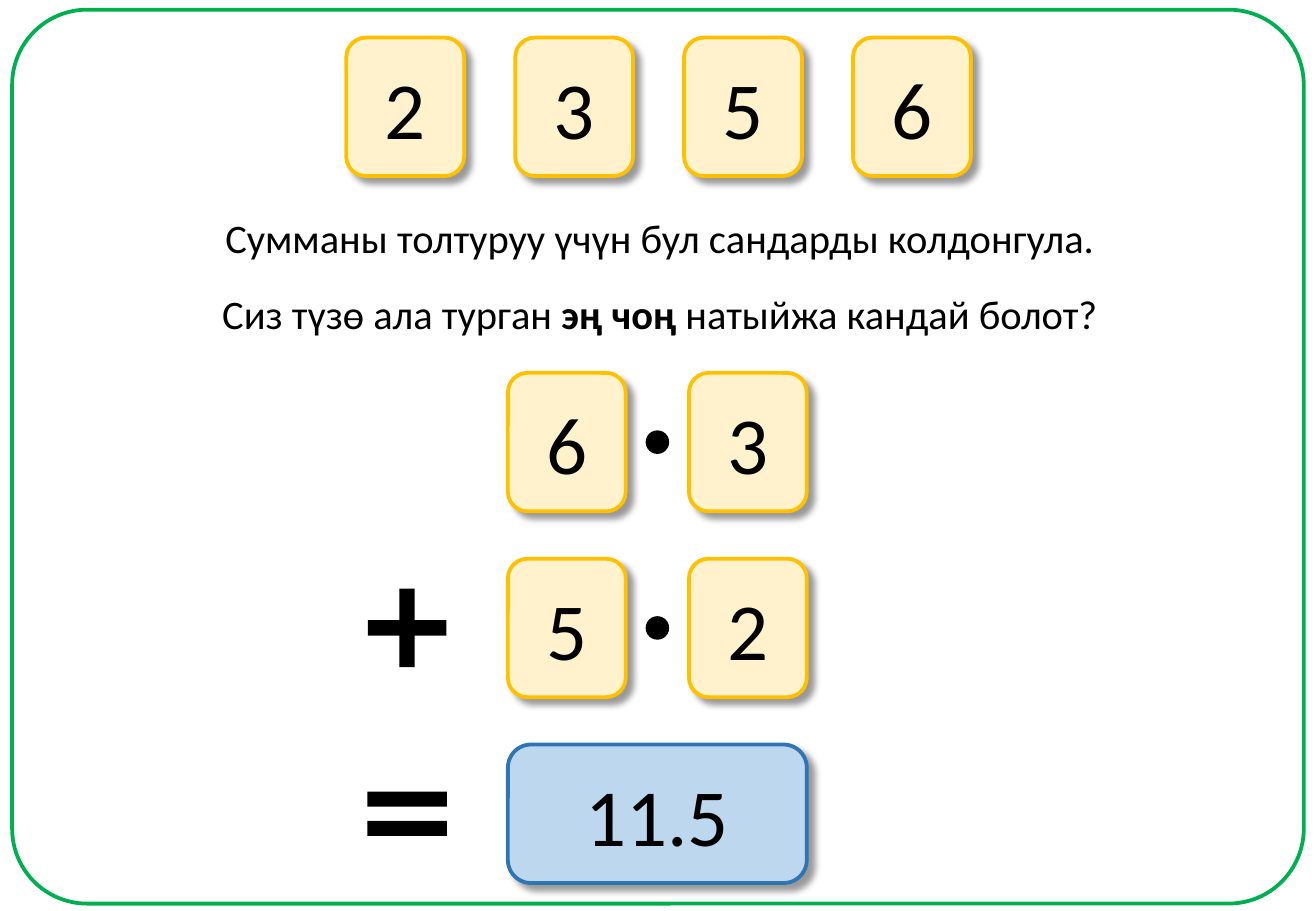
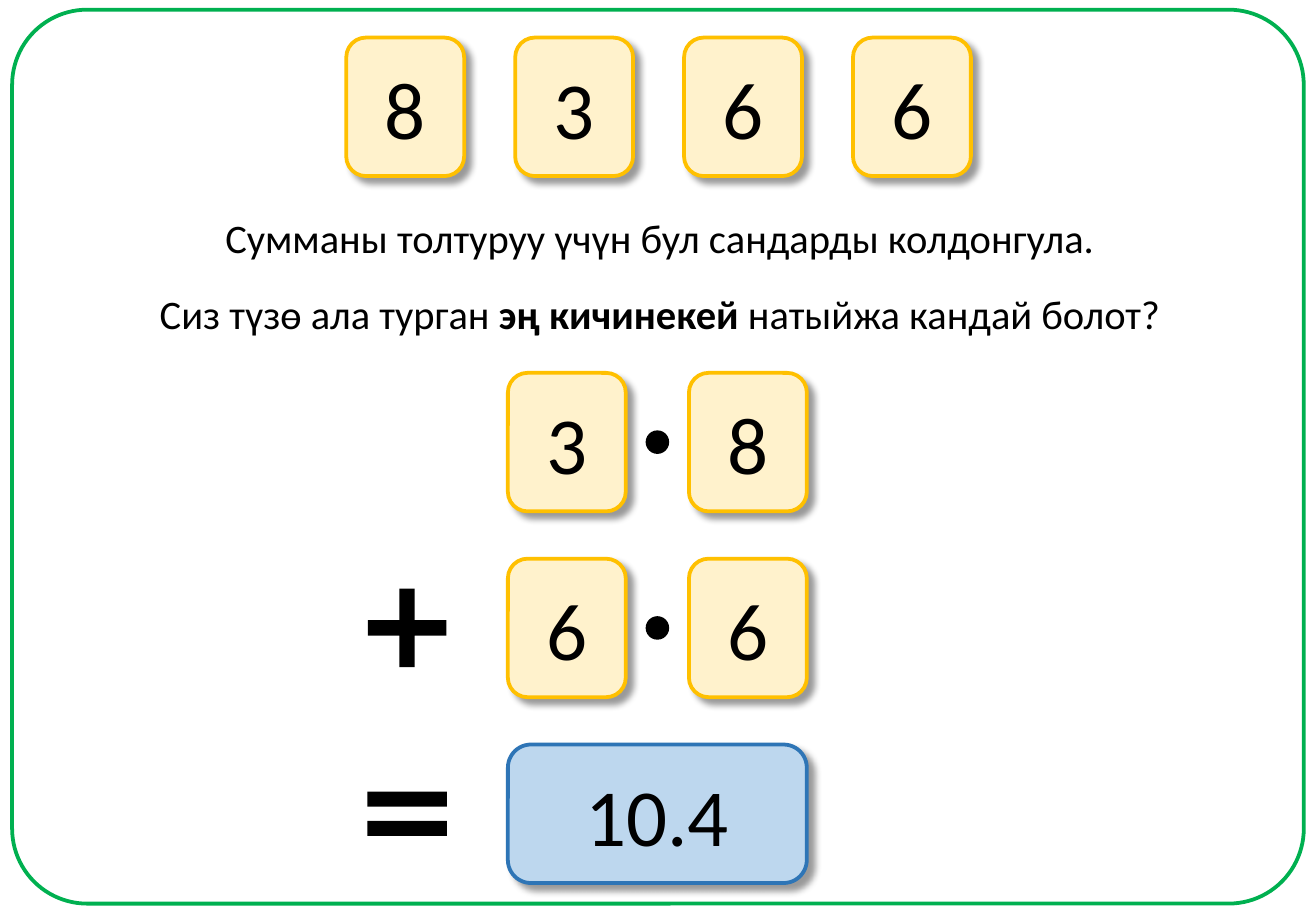
"""Build two number-card puzzle slides that share one layout."""
from lxml import etree
from pptx import Presentation
from pptx.dml.color import RGBColor
from pptx.enum.shapes import MSO_SHAPE
from pptx.enum.text import MSO_ANCHOR, MSO_AUTO_SIZE, PP_ALIGN
from pptx.oxml.ns import qn
from pptx.util import Inches, Pt

ROUNDED, OVAL = MSO_SHAPE.ROUNDED_RECTANGLE, MSO_SHAPE.OVAL
PLUS, EQUAL = MSO_SHAPE.MATH_PLUS, MSO_SHAPE.MATH_EQUAL
MIDDLE, CENTER, NO_FIT = MSO_ANCHOR.MIDDLE, PP_ALIGN.CENTER, MSO_AUTO_SIZE.NONE

INSTRUCTION = "Cумманы толтуруу үчүн бул сандарды колдонгула."
QUESTION_START, QUESTION_END = "Сиз түзө ала турган ", "натыйжа кандай болот?"
PUZZLES = [
    {"cards": "2356", "goal": "эң чоң ", "numbers": ["63", "52"], "sum": "11.5"},
    {"cards": "8366", "goal": "эң кичинекей ", "numbers": ["38", "66"], "sum": "10.4"},
]

FONT = "Calibri"
BLACK, GREEN = "000000", "00B050"
CARD_COLORS = ("FFF2CC", "FFC000")
SUM_COLORS = ("BDD7EE", "2E75B6")

SLIDE_WIDTH, SLIDE_HEIGHT = 10.83, 7.5
CARD_WIDTH, CARD_HEIGHT = 0.97, 1.14
CARDS_LEFT, CARDS_TOP, CARDS_STEP = 2.85, 0.31, 1.39
SUM_LEFT, SUM_TOP = 4.18, 3.07
COLUMN_STEP, ROW_STEP = 1.49, 1.53
SUM_WIDTH = COLUMN_STEP + CARD_WIDTH
SIGN_CENTER, DOT_SIZE = 3.35, 0.18
TEXT_LEFT, TEXT_WIDTH, TEXT_HEIGHT = 0.93, 9, 0.5
INSTRUCTION_TOP, QUESTION_TOP = 1.7, 2.33


def color(value):
    return RGBColor.from_string(value)


def place(shape, left, top, width, height):
    shape.left, shape.top = Inches(left), Inches(top)
    shape.width, shape.height = Inches(width), Inches(height)


def write(shape, parts, size):
    """Write centred (text, bold) parts as one paragraph."""
    frame = shape.text_frame
    frame.vertical_anchor = MIDDLE
    paragraph = frame.paragraphs[0]
    paragraph.alignment = CENTER
    for text, bold in parts:
        run = paragraph.add_run()
        run.text = text
        font = run.font
        font.name, font.size, font.bold = FONT, Pt(size), bold
        font.color.rgb = color(BLACK)


def add_shape(slide, kind, box, fill=None, line=None, line_width=2.25, adjustments=()):
    shape = slide.shapes.add_shape(kind, *(Inches(length) for length in box))
    shape.shadow.inherit = False
    for index, value in enumerate(adjustments):
        shape.adjustments[index] = value
    if fill:
        shape.fill.solid()
        shape.fill.fore_color.rgb = color(fill)
    else:
        shape.fill.background()
    if line:
        shape.line.color.rgb = color(line)
        shape.line.width = Pt(line_width)
    else:
        shape.line.fill.background()
    return shape


def add_centered(slide, kind, center_x, center_y, width, height, **style):
    box = (center_x - width / 2, center_y - height / 2, width, height)
    return add_shape(slide, kind, box, BLACK, **style)


def add_card(slide, text, left, top, width=CARD_WIDTH, colors=CARD_COLORS):
    """Add a number card with a soft shadow to the lower right."""
    card = add_shape(slide, ROUNDED, (left, top, width, CARD_HEIGHT), *colors)
    effects = card.element.spPr.find(qn("a:effectLst"))
    shadow = etree.SubElement(effects, qn("a:outerShdw"), blurRad=str(Pt(4)),
                              dist=str(Pt(5)), dir="2700000", algn="tl", rotWithShape="0")
    shade = etree.SubElement(shadow, qn("a:srgbClr"), val=BLACK)
    etree.SubElement(shade, qn("a:alpha"), val="40000")
    write(card, [(text, False)], 48)


def write_line(shape, top, parts):
    place(shape, TEXT_LEFT, top, TEXT_WIDTH, TEXT_HEIGHT)
    shape.text_frame.auto_size = NO_FIT
    shape.text_frame.word_wrap = True
    write(shape, parts, 24)


def add_puzzle(presentation, puzzle):
    slide = presentation.slides.add_slide(presentation.slide_layouts[5])
    add_shape(slide, ROUNDED, (0.1, 0.08, 10.63, 7.36), line=GREEN, adjustments=[0.084])
    write_line(slide.shapes.add_textbox(0, 0, 0, 0), INSTRUCTION_TOP, [(INSTRUCTION, False)])
    write_line(slide.shapes.title, QUESTION_TOP,
               [(QUESTION_START, False), (puzzle["goal"], True), (QUESTION_END, False)])

    for column, digit in enumerate(puzzle["cards"]):
        add_card(slide, digit, CARDS_LEFT + column * CARDS_STEP, CARDS_TOP)

    tops = [SUM_TOP + row * ROW_STEP for row in range(3)]
    centers = [top + CARD_HEIGHT / 2 for top in tops]
    for digits, top, center in zip(puzzle["numbers"], tops, centers):
        for column, digit in enumerate(digits):
            add_card(slide, digit, SUM_LEFT + column * COLUMN_STEP, top)
        add_centered(slide, OVAL, SUM_LEFT + SUM_WIDTH / 2, center, DOT_SIZE, DOT_SIZE,
                     line=BLACK, line_width=1)
    add_card(slide, puzzle["sum"], SUM_LEFT, tops[2], SUM_WIDTH, SUM_COLORS)
    add_centered(slide, PLUS, SIGN_CENTER, centers[1], 0.88, 0.88, adjustments=[0.144])
    add_centered(slide, EQUAL, SIGN_CENTER, centers[2], 0.89, 1, adjustments=[0.123, 0.118])


def main():
    presentation = Presentation()
    presentation.slide_width = Inches(SLIDE_WIDTH)
    presentation.slide_height = Inches(SLIDE_HEIGHT)
    for puzzle in PUZZLES:
        add_puzzle(presentation, puzzle)
    presentation.save("out.pptx")


if __name__ == "__main__":
    main()
